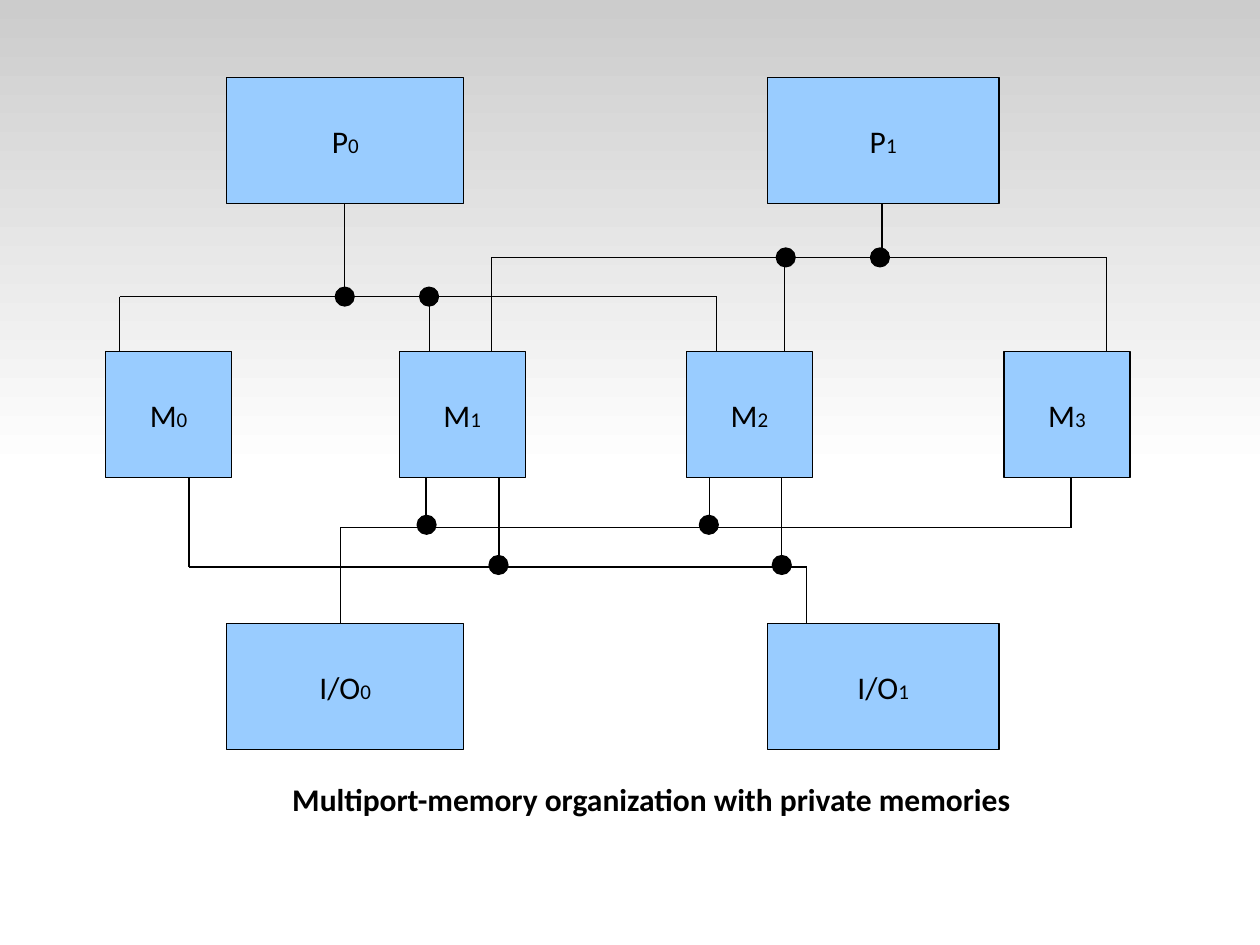
from lxml import etree
from pptx import Presentation
from pptx.dml.color import RGBColor
from pptx.enum import shapes, text
from pptx.oxml.ns import qn
from pptx.util import Cm, Pt

BLACK = RGBColor(0x00, 0x00, 0x00)
WHITE = RGBColor(0xFF, 0xFF, 0xFF)
GREY = RGBColor(0xCC, 0xCC, 0xCC)
BLUE = RGBColor(0x99, 0xCC, 0xFF)

KIND = shapes.MSO_SHAPE
THIN = Pt(0.75)
DOT = 0.38


def add_run(para, words, size, bold=False):
    run = para.add_run()
    run.text = words
    style = {"name": "Calibri", "size": Pt(size), "bold": bold}
    for key, value in style.items():
        setattr(run.font, key, value)
    run.font.color.rgb = BLACK


def add_form(slide, kind, box, fill):
    form = slide.shapes.add_shape(kind, *map(Cm, box))
    form.shadow.inherit = False
    form.fill.solid()
    form.fill.fore_color.rgb = fill
    form.line.color.rgb = BLACK
    form.line.width = THIN
    return form


def add_wire(slide, *ends):
    wire = slide.shapes.add_connector(
        shapes.MSO_CONNECTOR.STRAIGHT, *map(Cm, ends))
    wire.line.color.rgb = BLACK
    wire.line.width = THIN
    etree.SubElement(wire._element.spPr, qn("a:effectLst"))


def add_shade(slide, box):
    shade = slide.shapes.add_shape(KIND.ROUNDED_RECTANGLE, *map(Cm, box))
    shade.adjustments[0] = 0
    shade.shadow.inherit = False
    shade.line.fill.background()
    shade.fill.gradient()
    shade.fill.gradient_angle = 270
    for stop, tint in zip(shade.fill.gradient_stops, (GREY, WHITE)):
        stop.color.rgb = tint


def add_unit(slide, box, name, index):
    frame = add_form(slide, KIND.RECTANGLE, box, BLUE).text_frame
    style = {"word_wrap": False, "vertical_anchor": text.MSO_ANCHOR.MIDDLE}
    for key, value in style.items():
        setattr(frame, key, value)
    para = frame.paragraphs[0]
    para.alignment = text.PP_ALIGN.CENTER
    add_run(para, name, 18)
    add_run(para, str(index), 12)


def add_row(slide, top, name, spans):
    for index, (left, width) in enumerate(spans):
        add_unit(slide, (left, top, width, 2.54), name, index)


def add_bus(slide, box, rail, ups, downs, dots, lift=0):
    """Rail, ups, downs and dots are measured from the corner of the box."""
    left, top, width, height = box
    level = top + rail
    add_wire(slide, left, level, left + width, level)
    for x in ups:
        add_wire(slide, left + x, top, left + x, level)
    for x in downs:
        add_wire(slide, left + x, level, left + x, top + height)
    for x in dots:
        spot = (left + x - DOT / 2, level - lift - DOT / 2, DOT, DOT)
        add_form(slide, KIND.OVAL, spot, BLACK)


def add_title(slide, box, words):
    frame = slide.shapes.add_textbox(*map(Cm, box)).text_frame
    frame.word_wrap = True
    para = frame.paragraphs[0]
    para.alignment = text.PP_ALIGN.CENTER
    add_run(para, words, 18, True)


def main():
    deck = Presentation()
    deck.slide_width, deck.slide_height = Cm(25.4), Cm(19.05)
    slide = deck.slides.add_slide(deck.slide_layouts[6])
    add_shade(slide, (0, 0, 25.4, 9.53))

    # Units: processors, memories, input and output
    wide = [(4.57, 4.78), (15.47, 4.67)]
    add_row(slide, 1.57, "P", wide)
    add_row(slide, 7.09, "M", [(x, 2.54) for x in (2.13, 8.05, 13.84, 20.24)])
    add_row(slide, 12.57, "I/O", wide)

    # Buses from the processors down to the memories
    add_bus(slide, (2.41, 4.11, 12.04, 2.98), 1.87,
            [4.54], [0, 6.25, 12.04], [4.54, 6.24])
    add_bus(slide, (9.91, 4.11, 12.4, 2.98), 1.08,
            [7.87], [0, 5.91, 12.4], [7.83, 5.93])

    # Buses from the memories down to input and output
    add_bus(slide, (6.86, 9.63, 14.73, 2.94), 1.01,
            [1.73, 7.44, 14.73], [0], [1.74, 7.43], 0.06)
    add_bus(slide, (3.81, 9.63, 12.45, 2.94), 1.8,
            [0, 6.25, 11.95], [12.45], [6.24, 11.95], 0.04)

    add_title(slide, (1.07, 15.6, 24.13, 1.02),
              "Multiport-memory organization with private memories")
    deck.save("out.pptx")


if __name__ == "__main__":
    main()
